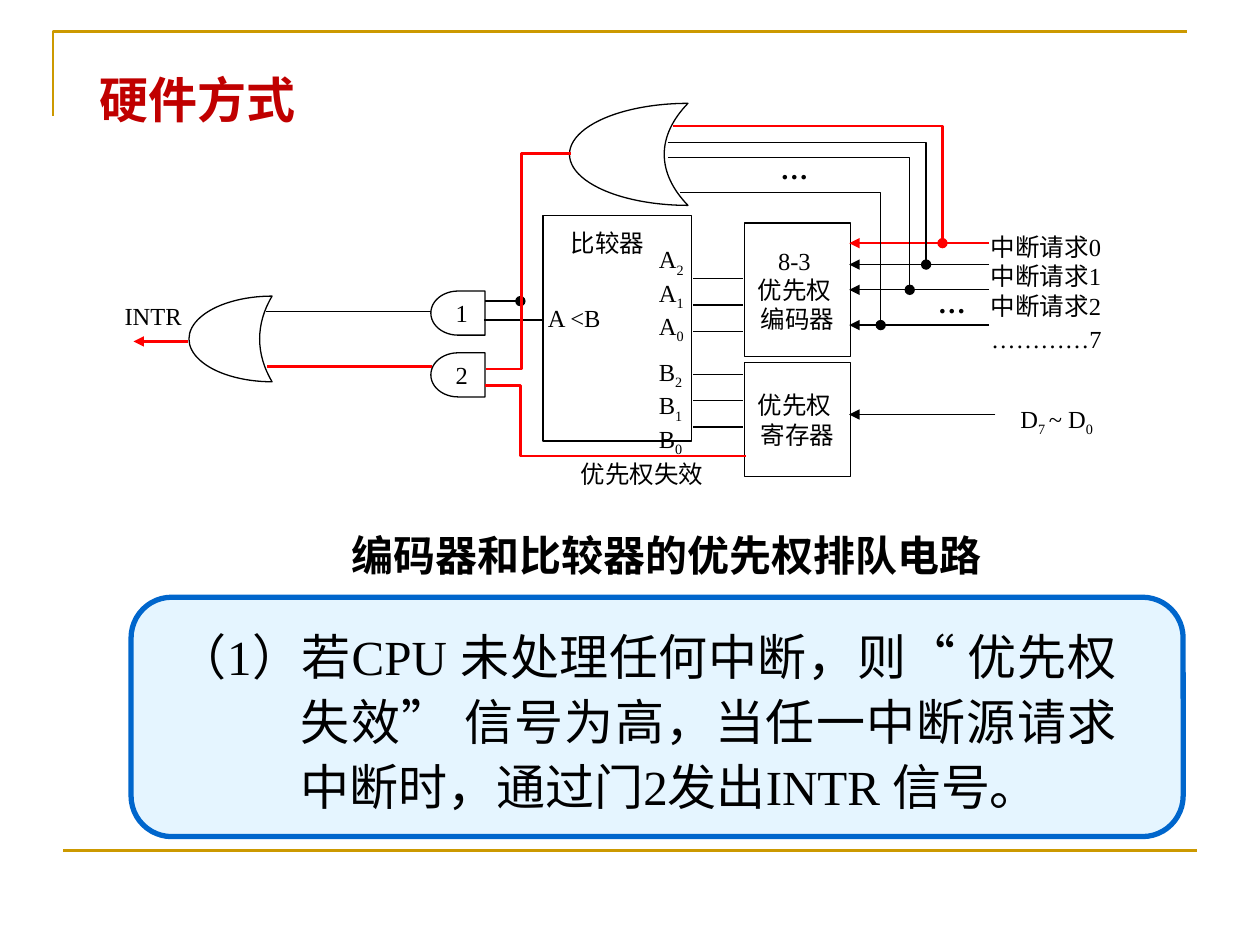
import pptx
import pptx.util
import pptx.dml.color
import pptx.enum.shapes
import pptx.enum.text
from lxml import etree
from pptx.oxml.ns import qn

KIND = pptx.enum.shapes.MSO_SHAPE
ALIGN = pptx.enum.text.PP_ALIGN
ANCHOR = pptx.enum.text.MSO_ANCHOR
FONT = "Times New Roman"
BLACK, RED, GOLD, BLUE = "000000", "FF0000", "CC9900", "0066CC"

TITLE = "硬件方式"
CAPTION = "编码器和比较器的优先权排队电路"
EXPLANATION = ("（1）若CPU 未处理任何中断，则“ 优先权失效” 信号为高，"
               "当任一中断源请求中断时，通过门2发出INTR 信号。")

OR_GATES = [((1.5, 2.35, 0.66, 0.68), 0.85), ((4.52, 0.82, 0.94, 0.81), 0.8)]
AND_GATES = [((3.42, 2.31, 0.43, 0.35), ["1"]), ((3.42, 2.8, 0.43, 0.35), ["2"])]
BLOCKS = [
    ((4.31, 1.71, 1.18, 1.79), []),
    ((5.91, 1.77, 0.84, 1.06), ["8-3 ", "优先权 ", "编码器"]),
    ((5.91, 2.88, 0.84, 0.9), ["优先权 ", "寄存器"]),
]

REQUEST_START, ENCODER_RIGHT = 7.85, 6.74
REQUESTS = [
    ((5.34, 1.0), 7.48, 1.93, RED, 1.5),
    ((5.3, 1.13), 7.35, 2.1, BLACK, 0.75),
    ((5.3, 1.25), 7.22, 2.3, BLACK, 0.75),
    ((5.4, 1.53), 6.99, 2.58, BLACK, 0.75),
]
BIT_ROWS = [top + 0.21 * bit for top in (2.21, 2.97) for bit in range(3)]

WIRES = [
    ([(3.85, 2.39), (4.13, 2.39)], BLACK, 0.75, "oval"),
    ([(3.84, 2.54), (4.3, 2.54)], BLACK, 0.75, None),
    ([(2.11, 2.47), (3.42, 2.47)], BLACK, 0.75, None),
    ([(7.9, 3.29), (6.74, 3.29)], BLACK, 1, "triangle"),
    ([(3.85, 3.06), (4.13, 3.06), (4.13, 3.62), (5.92, 3.62)], RED, 1.5, None),
    ([(3.86, 2.93), (4.14, 2.93), (4.14, 1.22), (4.53, 1.22)], RED, 1.5, None),
    ([(2.12, 2.91), (3.43, 2.91)], RED, 1.5, None),
    ([(1.49, 2.71), (1.06, 2.71)], RED, 1.5, "triangle"),
]
FRAME = [
    ([(0.42, 0.92), (0.42, 0.25), (9.42, 0.25)], GOLD, 1.5, None),
    ([(0.5, 6.75), (9.5, 6.75)], GOLD, 1.5, None),
]

# Text between bars alternates between normal and subscript.
LABELS = [
    ((4.25, 2.36, 0.94, 0.34), ["A <B"], {}),
    ((4.43, 1.76, 0.96, 0.33), ["比较器"], {}),
    ((5.13, 1.89, 0.61, 1.61),
     ["A|2", "A|1", "A|0", "B|2", "B|1", "B|0"], {"before": {3: 7}}),
    ((4.51, 3.59, 2.21, 0.34), ["优先权失效"], {}),
    ((7.72, 1.79, 1.68, 1.08),
     [" 中断请求0", " 中断请求1", " 中断请求2", " …………7"],
     {"before": {3: 7}, "spacing": {3: 0.7}}),
    ((8, 3.16, 1.86, 0.33), ["D|7 |~ D|0"], {}),
    ((0.89, 2.34, 1.77, 0.34), ["INTR"], {}),
    ((7.32, 2.22, 0.47, 0.37), ["…"], {"size": 16, "bold": True, "align": ALIGN.CENTER}),
    ((6.07, 1.15, 0.47, 0.37), ["…"], {"size": 16, "bold": True, "align": ALIGN.CENTER}),
    ((2.69, 4.15, 5.4, 0.5), [CAPTION], {"size": 24, "bold": True}),
]


def inch(value):
    return pptx.util.Cm(value * 2.54)


def color(value):
    return pptx.dml.color.RGBColor.from_string(value)


def write(frame, lines, size=14, ink=BLACK, bold=False, align=ALIGN.LEFT,
          anchor=ANCHOR.TOP, wrap=True, before={}, spacing={}):
    frame.word_wrap = wrap
    frame.vertical_anchor = anchor
    for index, line in enumerate(lines):
        paragraph = frame.paragraphs[0] if index == 0 else frame.add_paragraph()
        paragraph.alignment = align
        paragraph.space_before = pptx.util.Pt(before.get(index, 0))
        paragraph.line_spacing = spacing.get(index, 1.0)
        for part, words in enumerate(line.split("|")):
            run = paragraph.add_run()
            run.text = words
            run.font.name = FONT
            run.font.size = pptx.util.Pt(size)
            run.font.bold = bold
            run.font.color.rgb = color(ink)
            if part % 2:
                run.font._element.set("baseline", "-25000")


def add_label(slide, box, lines, **style):
    label = slide.shapes.add_textbox(*map(inch, box))
    write(label.text_frame, lines, **style)
    return label


def add_outline(slide, kind, box, ink=BLACK, width=0.75):
    outline = slide.shapes.add_shape(kind, *map(inch, box))
    outline.shadow.inherit = False
    outline.fill.background()
    outline.line.color.rgb = color(ink)
    outline.line.width = pptx.util.Pt(width)
    return outline


def add_wire(slide, points, ink, width, tail):
    corners = [(inch(x), inch(y)) for x, y in points]
    if len(corners) == 2:
        wire = slide.shapes.add_connector(
            pptx.enum.shapes.MSO_CONNECTOR.STRAIGHT, *corners[0], *corners[1])
    else:
        builder = slide.shapes.build_freeform(*corners[0])
        builder.add_line_segments(corners[1:], close=False)
        wire = builder.convert_to_shape()
        wire.fill.background()
    wire.line.color.rgb = color(ink)
    wire.line.width = pptx.util.Pt(width)
    if tail:
        end = etree.SubElement(wire.line._get_or_add_ln(), qn("a:tailEnd"))
        end.set("type", tail)
        end.set("w", "med")
        end.set("len", "med")
    etree.SubElement(wire._element.spPr, qn("a:effectLst"))


def add_explanation(slide):
    panel = add_outline(slide, KIND.ROUNDED_RECTANGLE, (1.04, 4.74, 8.35, 1.9), BLUE, 3)
    panel.adjustments[0] = 0.17
    panel.fill.solid()
    panel.fill.fore_color.rgb = color("CCECFF")
    tint = panel._element.spPr.find(qn("a:solidFill"))[0]
    etree.SubElement(tint, qn("a:alpha")).set("val", "50000")
    body = add_label(slide, (1.31, 4.88, 7.65, 1.65), [EXPLANATION], size=28,
                     align=ALIGN.JUSTIFY, spacing={0: 1.1})
    properties = body.text_frame.paragraphs[0]._p.get_or_add_pPr()
    properties.set("marL", str(inch(0.98)))
    properties.set("indent", str(-inch(0.98)))


def add_circuit(slide):
    for box, depth in OR_GATES:
        add_outline(slide, KIND.MOON, box).adjustments[0] = depth
    for kind, parts in ((KIND.FLOWCHART_DELAY, AND_GATES), (KIND.RECTANGLE, BLOCKS)):
        for box, lines in parts:
            part = add_outline(slide, kind, box)
            if kind == KIND.FLOWCHART_DELAY:
                part._element.spPr.find(qn("a:xfrm")).set("flipH", "1")
            write(part.text_frame, lines, align=ALIGN.CENTER,
                  anchor=ANCHOR.MIDDLE, wrap=False)
    for y in BIT_ROWS:
        add_wire(slide, [(5.5, y), (5.9, y)], BLACK, 0.75, None)
    for (x, y), turn, row, ink, width in REQUESTS:
        add_wire(slide, [(x, y), (turn, y), (turn, row)], ink, width, "oval")
        add_wire(slide, [(REQUEST_START, row), (ENCODER_RIGHT, row)], ink, width, "triangle")
    for wire in WIRES:
        add_wire(slide, *wire)
    for box, lines, style in LABELS:
        add_label(slide, box, lines, **style)


def main():
    deck = pptx.Presentation()
    deck.slide_width, deck.slide_height = inch(10), inch(7.5)
    slide = deck.slides.add_slide(deck.slide_layouts[5])
    title = slide.shapes.title
    title.left, title.top, title.width, title.height = map(inch, (0.69, 0.5, 2.09, 0.57))
    write(title.text_frame, [TITLE], size=28, ink="C00000", bold=True)
    for edge in FRAME:
        add_wire(slide, *edge)
    add_explanation(slide)
    add_circuit(slide)
    deck.save("out.pptx")


if __name__ == "__main__":
    main()
